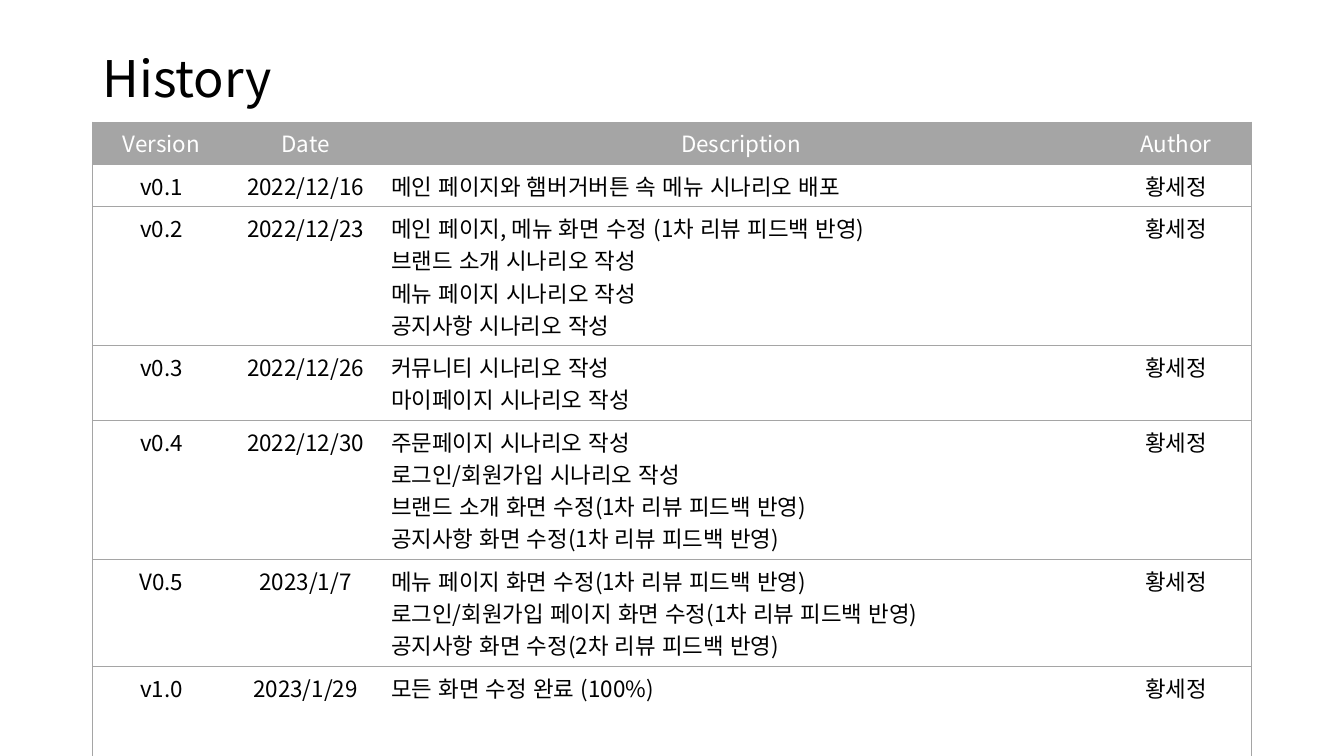
from lxml import etree
from pptx import Presentation
from pptx.dml.color import RGBColor
from pptx.enum.lang import MSO_LANGUAGE_ID
from pptx.enum.text import MSO_ANCHOR, PP_ALIGN
from pptx.oxml.ns import qn
from pptx.util import Inches, Pt

LEFT, MID = PP_ALIGN.LEFT, PP_ALIGN.CENTER
CENTER = MSO_ANCHOR.MIDDLE
KOREAN = MSO_LANGUAGE_ID.KOREAN
FONT = "Noto Sans CJK KR"
HUES = {"ink": "000000", "paper": "FFFFFF", "gray": "A5A5A5"}
COLS = [1.36, 1.5, 7.14, 1.49]
ROWS = [0.42, 0.42, 1.38, 0.74, 1.38, 1.06, 1.35]
HEADS = ["Version", "Date", "Description", "Author"]
AUTHOR = "황세정"
LOG = [
    ("v0.1", "2022/12/16", ["메인 페이지와 햄버거버튼 속 메뉴 시나리오 배포"]),
    ("v0.2", "2022/12/23", [
        "메인 페이지, 메뉴 화면 수정 (1차 리뷰 피드백 반영)",
        "브랜드 소개 시나리오 작성",
        "메뉴 페이지 시나리오 작성",
        "공지사항 시나리오 작성"]),
    ("v0.3", "2022/12/26", [
        "커뮤니티 시나리오 작성",
        "마이페이지 시나리오 작성"]),
    ("v0.4", "2022/12/30", [
        "주문페이지 시나리오 작성",
        "로그인/회원가입 시나리오 작성",
        "브랜드 소개 화면 수정(1차 리뷰 피드백 반영)",
        "공지사항 화면 수정(1차 리뷰 피드백 반영)"]),
    ("V0.5", "2023/1/7", [
        "메뉴 페이지 화면 수정(1차 리뷰 피드백 반영)",
        "로그인/회원가입 페이지 화면 수정(1차 리뷰 피드백 반영)",
        "공지사항 화면 수정(2차 리뷰 피드백 반영)"]),
    ("v1.0", "2023/1/29", ["모든 화면 수정 완료 (100%)"]),
]


def write(frame, lines, size=16, hue="ink", align=LEFT, space=None):
    """Fill a text frame with one paragraph per line."""
    for i, line in enumerate(lines):
        para = frame.paragraphs[0] if i == 0 else frame.add_paragraph()
        para.alignment = align
        para.line_spacing = space
        run = para.add_run()
        run.text = line
        run.font.size = Pt(size)
        run.font.name = FONT
        run.font.language_id = KOREAN
        run.font.color.rgb = RGBColor.from_string(HUES[hue])
        etree.SubElement(run.font._element, qn("a:ea"), typeface=FONT)


def border(cell, sides, hue="gray"):
    """Draw thin lines on the named sides of a cell and clear the others."""
    props = cell._tc.get_or_add_tcPr()
    for side in "LRTB":
        line = etree.SubElement(props, qn("a:ln" + side), w=str(Pt(0.5)))
        if side in sides:
            fill = etree.SubElement(line, qn("a:solidFill"))
            etree.SubElement(fill, qn("a:srgbClr"), val=HUES[hue])
        else:
            etree.SubElement(line, qn("a:noFill"))


def add_title(slide, text):
    """Place the slide title."""
    box = slide.shapes.add_textbox(
        Inches(0.92), Inches(0.41), Inches(11.5), Inches(0.8))
    frame = box.text_frame
    frame.word_wrap = True
    frame.vertical_anchor = CENTER
    write(frame, [text], size=36, space=0.9)


def add_log(slide):
    """Place the table of versions."""
    table = slide.shapes.add_table(
        len(ROWS), len(COLS), Inches(0.92), Inches(1.21),
        Inches(sum(COLS)), Inches(sum(ROWS))).table
    table.horz_banding = False
    for col, width in zip(table.columns, COLS):
        col.width = Inches(width)
    for row, height in zip(table.rows, ROWS):
        row.height = Inches(height)
    data = [[[head] for head in HEADS]]
    data += [[[ver], [date], notes, [AUTHOR]] for ver, date, notes in LOG]
    for r, row in enumerate(data):
        for c, lines in enumerate(row):
            cell = table.cell(r, c)
            ends = {0: "L", len(COLS) - 1: "R"}
            border(cell, "TB" + ends.get(c, ""))
            cell.fill.solid()
            back = "paper" if r else "gray"
            cell.fill.fore_color.rgb = RGBColor.from_string(HUES[back])
            write(cell.text_frame, lines, hue="ink" if r else "paper",
                  align=LEFT if r and c == 2 else MID)


def main():
    """Build and save the slide."""
    deck = Presentation()
    deck.slide_width, deck.slide_height = Inches(13.33), Inches(7.5)
    slide = deck.slides.add_slide(deck.slide_layouts[6])
    add_title(slide, "History")
    add_log(slide)
    deck.save("out.pptx")


if __name__ == "__main__":
    main()
